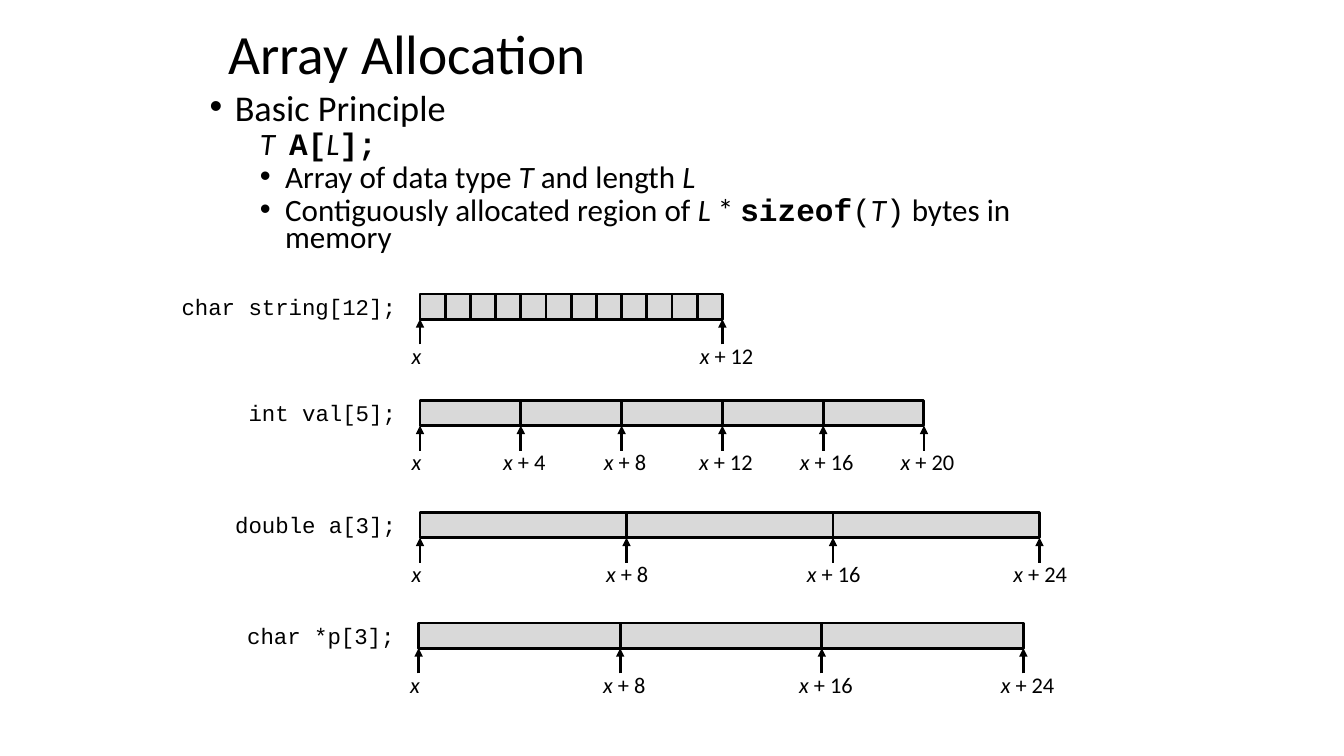
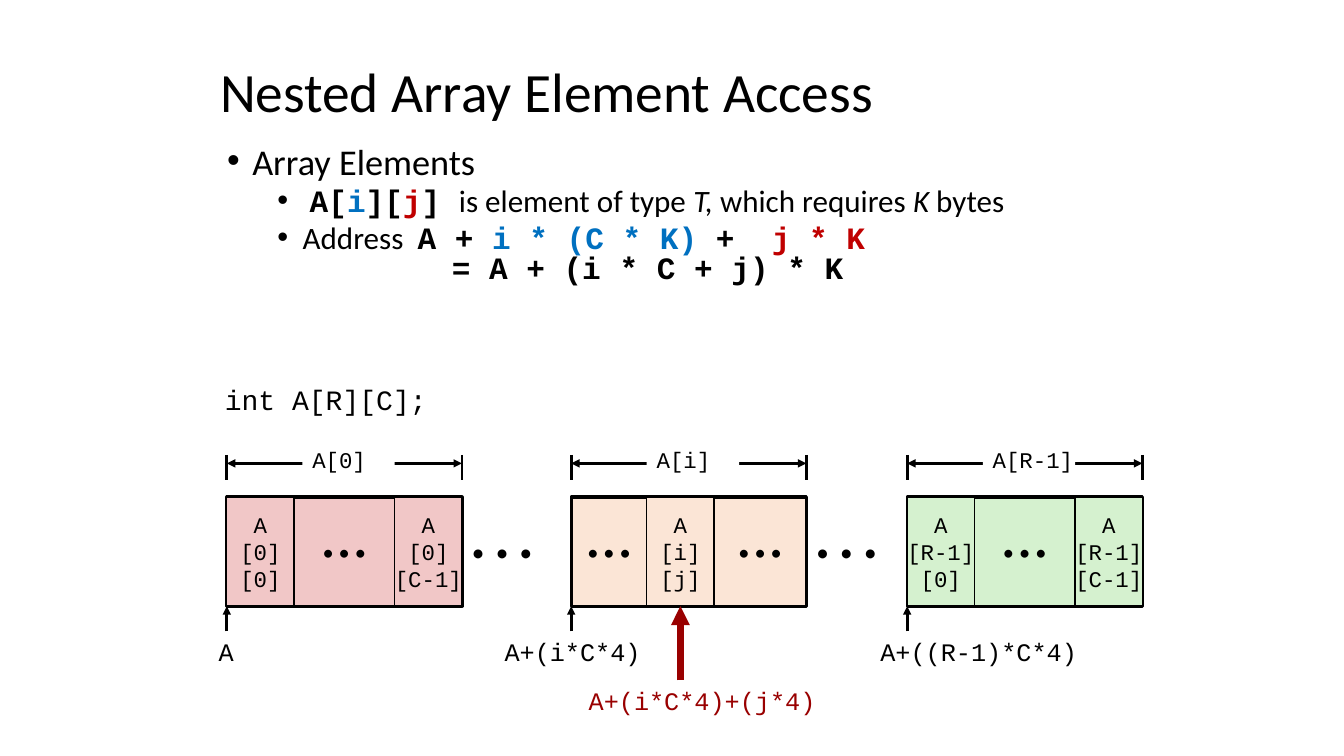
import lxml.etree
import pptx
import pptx.dml.color
import pptx.enum.shapes
import pptx.enum.text
import pptx.oxml.ns
import pptx.util

# Shared colours and styles
BLACK = pptx.dml.color.RGBColor(0x00, 0x00, 0x00)
WHITE = pptx.dml.color.RGBColor(0xFF, 0xFF, 0xFF)
GREY = pptx.dml.color.RGBColor(0xD9, 0xD9, 0xD9)
BLUE = pptx.dml.color.RGBColor(0x00, 0x70, 0xC0)
RED = pptx.dml.color.RGBColor(0xC0, 0x00, 0x00)
DARK_RED = pptx.dml.color.RGBColor(0x99, 0x00, 0x00)
PINK = pptx.dml.color.RGBColor(0xF1, 0xC7, 0xC7)
PEACH = pptx.dml.color.RGBColor(0xFB, 0xE5, 0xD6)
GREEN = pptx.dml.color.RGBColor(0xD5, 0xF1, 0xCF)

LEFT = pptx.enum.text.PP_ALIGN.LEFT
CENTER = pptx.enum.text.PP_ALIGN.CENTER
RIGHT = pptx.enum.text.PP_ALIGN.RIGHT
TOP = pptx.enum.text.MSO_ANCHOR.TOP
MIDDLE = pptx.enum.text.MSO_ANCHOR.MIDDLE

STYLES = {
    "plain": {"name": "Calibri", "bold": False, "italic": False},
    "italic": {"name": "Calibri", "bold": False, "italic": True},
    "code": {"name": "Courier New", "bold": False, "italic": False},
    "strong": {"name": "Courier New", "bold": True, "italic": False},
}
TITLE_SIZE = 39.6
LEVEL_SIZES = [25.9, 22.2]
LEVEL_MARGINS = [18, 54]
LEVEL_GAPS = [10, 5]
HANGING = -18
DOTS = "• • •"
WIDE_DOTS = "•  •  •"


def pts(values):
    return [pptx.util.Pt(value) for value in values]


def add_span(para, text, style, size, color=BLACK):
    span = para.add_run()
    span.text = text
    for name, value in {**STYLES[style], "size": pptx.util.Pt(size)}.items():
        setattr(span.font, name, value)
    span.font.color.rgb = color


def write(shape, paras, size, align=CENTER, anchor=MIDDLE):
    """Fill a shape with paragraphs, each a list of (text, style[, color])."""
    frame = shape.text_frame
    settings = {"word_wrap": False, "vertical_anchor": anchor}
    for name, value in settings.items():
        setattr(frame, name, value)
    for index, spans in enumerate(paras):
        para = frame.paragraphs[0] if index == 0 else frame.add_paragraph()
        para.alignment = align
        for text, style, *color in spans:
            add_span(para, text, style, size, *color)


def add_label(page, box, spans, size, align=CENTER, anchor=TOP):
    write(page.shapes.add_textbox(*pts(box)), [spans], size, align, anchor)


def add_box(page, box, fill, line_width=None):
    kind = pptx.enum.shapes.MSO_SHAPE.RECTANGLE
    shape = page.shapes.add_shape(kind, *pts(box))
    shape.shadow.inherit = False
    shape.fill.solid()
    shape.fill.fore_color.rgb = fill
    if line_width:
        shape.line.color.rgb = BLACK
        shape.line.width = pptx.util.Pt(line_width)
    else:
        shape.line.fill.background()
    return shape


def add_line(page, start, end, ends=(), color=BLACK, width=2):
    """Draw a line; ends lists the arrowheads, 'headEnd' and 'tailEnd'."""
    kind = pptx.enum.shapes.MSO_CONNECTOR.STRAIGHT
    line = page.shapes.add_connector(kind, *pts(start + end))
    line.line.color.rgb = color
    line.line.width = pptx.util.Pt(width)
    properties = line._element.spPr
    outline = properties.find(pptx.oxml.ns.qn("a:ln"))
    for name in ends:
        tag = pptx.oxml.ns.qn("a:" + name)
        lxml.etree.SubElement(outline, tag, type="triangle")
    lxml.etree.SubElement(properties, pptx.oxml.ns.qn("a:effectLst"))


def place(shape, box):
    for name, value in zip(("left", "top", "width", "height"), pts(box)):
        setattr(shape, name, value)


def add_title(page, box, text):
    title = page.shapes.title
    place(title, box)
    title.text_frame.auto_size = pptx.enum.text.MSO_AUTO_SIZE.NONE
    write(title, [[(text, "plain")]], TITLE_SIZE, LEFT)
    title.text_frame.paragraphs[0].line_spacing = 0.9


def add_list(page, box, spacing, items):
    """Fill the body; an item is (level, bulleted, spans[, own margin])."""
    body = page.placeholders[1]
    place(body, box)
    frame = body.text_frame
    frame.auto_size = pptx.enum.text.MSO_AUTO_SIZE.NONE
    frame.word_wrap = True
    for index, (level, bulleted, spans, *margin) in enumerate(items):
        para = frame.paragraphs[0] if index == 0 else frame.add_paragraph()
        gap = 0 if margin else LEVEL_GAPS[level]
        settings = {"level": level, "alignment": LEFT, "line_spacing": spacing,
                    "space_before": pptx.util.Pt(gap), "space_after": pptx.util.Pt(0)}
        for name, value in settings.items():
            setattr(para, name, value)
        # Indent and bullet
        properties = para._p.get_or_add_pPr()
        indent = 0 if margin else HANGING
        left = margin[0] if margin else LEVEL_MARGINS[level]
        properties.set("marL", str(int(pptx.util.Pt(left))))
        properties.set("indent", str(int(pptx.util.Pt(indent))))
        if bulleted:
            for tag, key, value in (("a:buFont", "typeface", "Arial"),
                                    ("a:buChar", "char", "•")):
                lxml.etree.SubElement(properties, pptx.oxml.ns.qn(tag), {key: value})
        else:
            lxml.etree.SubElement(properties, pptx.oxml.ns.qn("a:buNone"))
        for text, style, *color in spans:
            add_span(para, text, style, LEVEL_SIZES[level], *color)


def add_array(page, left, top, declaration, count, cell, element_bytes,
              marked, shift):
    """Draw a declared array with address arrows under the marked cell edges."""
    add_label(page, (left - 180, top - 4.5, 170, 27), [(declaration, "code")], 16, RIGHT)
    for index in range(count):
        add_box(page, (left + index * cell, top, cell, 18), GREY, 2)
    for index in marked:
        edge = left + index * cell
        add_line(page, (edge, top + 36), (edge, top + 18), ["tailEnd"])
        if index:
            spans = [("x ", "italic"), (f"+ {index * element_bytes}", "plain")]
            center = edge + shift
        else:
            spans = [("x", "italic")]
            center = edge - 2.5
        add_label(page, (center - 39, top + 30.5, 78, 27), spans, 16)


def add_row(page, box, fill, name, cells, address, address_box):
    """Draw one row: cells, the span above it, and its start address."""
    left, top, width, height = box
    right = left + width
    add_box(page, box, fill, 2.25)
    # Cells
    cell_left = left
    for cell_width, lines in cells:
        cell = (cell_left, top, cell_width, height)
        if lines:
            shape = add_box(page, cell, fill, 1)
            write(shape, [[(line, "code")] for line in lines], 16)
        else:
            add_label(page, cell, [(DOTS, "plain")], 16, CENTER, MIDDLE)
        cell_left += cell_width
    # Span with its name
    for edge in (left, right):
        add_line(page, (edge, top - 30), (edge, top - 12))
    add_line(page, (left, top - 24), (right, top - 24), ["headEnd", "tailEnd"])
    tag = add_box(page, (left + 54, top - 42, 66, 30), WHITE)
    write(tag, [[(name, "code")]], 16, LEFT)
    # Start address
    bottom = top + height
    add_line(page, (left, bottom + 18), (left, bottom), ["tailEnd"])
    label_left, label_width = address_box
    add_label(page, (label_left, bottom + 18, label_width, 29), [(address, "code")], 18)


def build_allocation(page):
    add_title(page, (156, 18, 468, 45), "Array Allocation")
    add_list(page, (142.5, 66, 654.5, 127.5), 0.7, [
        (0, True, [("Basic Principle", "plain")]),
        (1, False, [("T  ", "italic"), ("A[", "strong"), ("L", "italic"),
                    ("];", "strong")]),
        (1, True, [("Array of data type ", "plain"), ("T", "italic"),
                   (" and length ", "plain"), ("L", "italic")]),
        (1, True, [("Contiguously allocated region of ", "plain"), ("L", "italic"),
                   (" * ", "plain"), ("sizeof", "strong"), ("(", "code"),
                   ("T", "italic"), (")", "code"), (" bytes in memory", "plain")]),
    ])
    arrays = [
        (300, 210, "char string[12];", 12, 18, 1, (0, 12), 3),
        (300, 286, "int val[5];", 5, 72, 4, range(6), 2.5),
        (300, 366, "double a[3];", 3, 147.5, 8, range(4), 0.5),
        (299, 445, "char *p[3];", 3, 144, 8, range(4), 3),
    ]
    for array in arrays:
        add_array(page, *array)


def build_nested(page):
    add_title(page, (150, 45, 546, 45), "Nested Array Element Access")
    add_list(page, (155, 101.5, 613.5, 114.5), 0.8, [
        (0, True, [("Array Elements", "plain")]),
        (1, True, [(" ", "plain"), ("A[", "strong"), ("i", "strong", BLUE),
                   ("][", "strong"), ("j", "strong", RED), ("] ", "strong"),
                   ("is element of type ", "plain"), ("T, ", "italic"),
                   ("which requires ", "plain"), ("K", "italic"),
                   (" bytes", "plain")]),
        (1, True, [("Address  ", "plain"), ("A + ", "strong"),
                   ("i * (C * K) ", "strong", BLUE), ("+  ", "strong"),
                   ("j * K", "strong", RED)]),
        (1, False, [("= A + (i * C + j) * K", "strong")], 160.5),
    ])
    add_label(page, (153, 270, 159, 31), [("int A[R][C];", "code")], 20, RIGHT)
    # Gaps between rows, then the rows
    top, width, height = 355, 168, 78
    for left in (330, 576):
        add_label(page, (left, top, 78, height), [(WIDE_DOTS, "plain")], 18, LEFT, MIDDLE)
    rows = [
        (162, PINK, "A[0]",
         [(48, ["A", "[0]", "[0]"]), (72, None), (48, ["A", "[0]", "[C-1]"])],
         "A", (146, 31)),
        (408, PEACH, "A[i]",
         [(54, None), (48, ["A", "[i]", "[j]"]), (66, None)],
         "A+(i*C*4)", (352, 114)),
        (648, GREEN, "A[R-1]",
         [(48, ["A", "[R-1]", "[0]"]), (72, None), (48, ["A", "[R-1]", "[C-1]"])],
         "A+((R-1)*C*4)", (618, 162)),
    ]
    for left, *row in rows:
        add_row(page, (left, top, width, height), *row)
    # Address of one element
    add_line(page, (486, 486), (486, top + height), ["tailEnd"], DARK_RED, 4.5)
    add_label(page, (385, 486, 233, 29), [("A+(i*C*4)+(j*4)", "code", DARK_RED)], 18)


def main():
    deck = pptx.Presentation()
    deck.slide_width, deck.slide_height = pts((960, 540))
    for build in (build_allocation, build_nested):
        build(deck.slides.add_slide(deck.slide_layouts[1]))
    deck.save("out.pptx")


if __name__ == "__main__":
    main()
